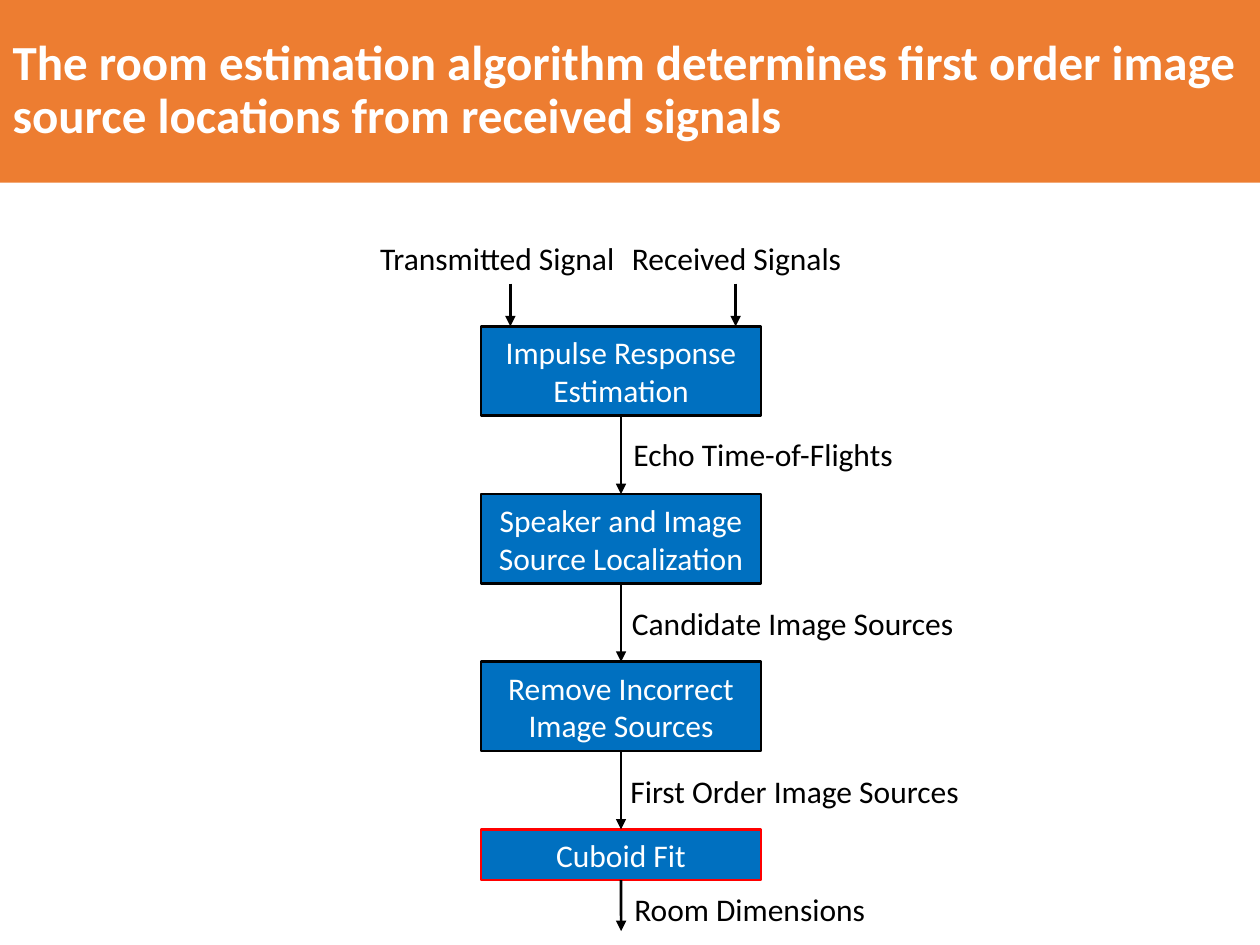
from pptx import Presentation
from pptx.dml.color import RGBColor
from pptx.enum.shapes import MSO_CONNECTOR, MSO_SHAPE
from pptx.enum.text import MSO_ANCHOR, MSO_AUTO_SIZE, PP_ALIGN
from pptx.oxml.ns import qn
from pptx.util import Cm, Pt
from lxml.etree import SubElement

COLORS = {
    "banner": "ED7D31",
    "box": "0070C0",
    "highlight": "FF0000",
    "dark": "000000",
    "light": "FFFFFF",
}


def write_text(shape, text, color, size=18, bold=False, align=PP_ALIGN.CENTER,
               wrap=True, fit=MSO_AUTO_SIZE.NONE):
    frame = shape.text_frame
    frame.text = text
    frame_format = {"word_wrap": wrap, "auto_size": fit,
                    "vertical_anchor": MSO_ANCHOR.MIDDLE}
    for name, value in frame_format.items():
        setattr(frame, name, value)
    para = frame.paragraphs[0]
    para.alignment = align
    span = para.runs[0]
    font_format = {"name": "Calibri", "size": Pt(size), "bold": bold}
    for name, value in font_format.items():
        setattr(span.font, name, value)
    span.font.color.rgb = RGBColor.from_string(COLORS[color])


def add_arrow(x, top, bottom):
    arrow = page.shapes.add_connector(
        MSO_CONNECTOR.STRAIGHT, Cm(x), Cm(top), Cm(x), Cm(bottom))
    arrow.line.width = Pt(1.5)
    arrow.line.color.rgb = RGBColor.from_string(COLORS["dark"])
    SubElement(arrow.line._get_or_add_ln(), qn("a:tailEnd"), type="triangle")
    SubElement(arrow._element.spPr, qn("a:effectLst"))
    return arrow


deck = Presentation()
deck.slide_width = Cm(25.4)
deck.slide_height = Cm(19.05)
page = deck.slides.add_slide(deck.slide_layouts[5])

title = page.shapes.title
title_place = {"left": Cm(0), "top": Cm(0), "width": Cm(25.4), "height": Cm(3.68)}
for name, value in title_place.items():
    setattr(title, name, value)
title.fill.solid()
title.fill.fore_color.rgb = RGBColor.from_string(COLORS["banner"])
write_text(title, "The room estimation algorithm determines first order image "
           "source locations from received signals", "light", 28, True, PP_ALIGN.LEFT)
title.text_frame.paragraphs[0].line_spacing = 0.9

labels = [
    ("Transmitted Signal", 7.37, 4.7, 5.31),
    ("Received Signals", 12.45, 4.7, 4.8),
    ("Echo Time-of-Flights", 12.45, 8.64, 5.87),
    ("Candidate Image Sources", 12.45, 12.04, 7.06),
    ("First Order Image Sources", 12.45, 15.44, 7.14),
    ("Room Dimensions", 12.45, 17.81, 5.33),
]
for text, left, top, width in labels:
    label = page.shapes.add_textbox(Cm(left), Cm(top), Cm(width), Cm(1.02))
    write_text(label, text, "dark", wrap=False, fit=MSO_AUTO_SIZE.SHAPE_TO_FIT_TEXT)

box_left, box_width = 9.7, 5.64
first_top, step = 6.58, 3.38
center = box_left + box_width / 2
steps = [
    ("Impulse Response Estimation", 1.8, "dark"),
    ("Speaker and Image Source Localization", 1.8, "dark"),
    ("Remove Incorrect Image Sources", 1.8, "dark"),
    ("Cuboid Fit", 1.02, "highlight"),
]
boxes = []
for row, (text, height, outline) in enumerate(steps):
    box = page.shapes.add_shape(
        MSO_SHAPE.RECTANGLE, Cm(box_left), Cm(first_top + row * step),
        Cm(box_width), Cm(height))
    box.shadow.inherit = False
    box.fill.solid()
    box.fill.fore_color.rgb = RGBColor.from_string(COLORS["box"])
    box.line.color.rgb = RGBColor.from_string(COLORS[outline])
    box.line.width = Pt(1.5)
    write_text(box, text, "light")
    boxes.append(box)

for x in (10.29, 14.83):
    add_arrow(x, 5.72, first_top)

for upper, lower in zip(boxes, boxes[1:]):
    arrow = add_arrow(center, first_top, first_top + step)
    arrow.begin_connect(upper, 2)
    arrow.end_connect(lower, 0)

output_arrow = add_arrow(center, 17.75, 18.77)
output_arrow.begin_connect(boxes[-1], 2)

deck.save("out.pptx")
